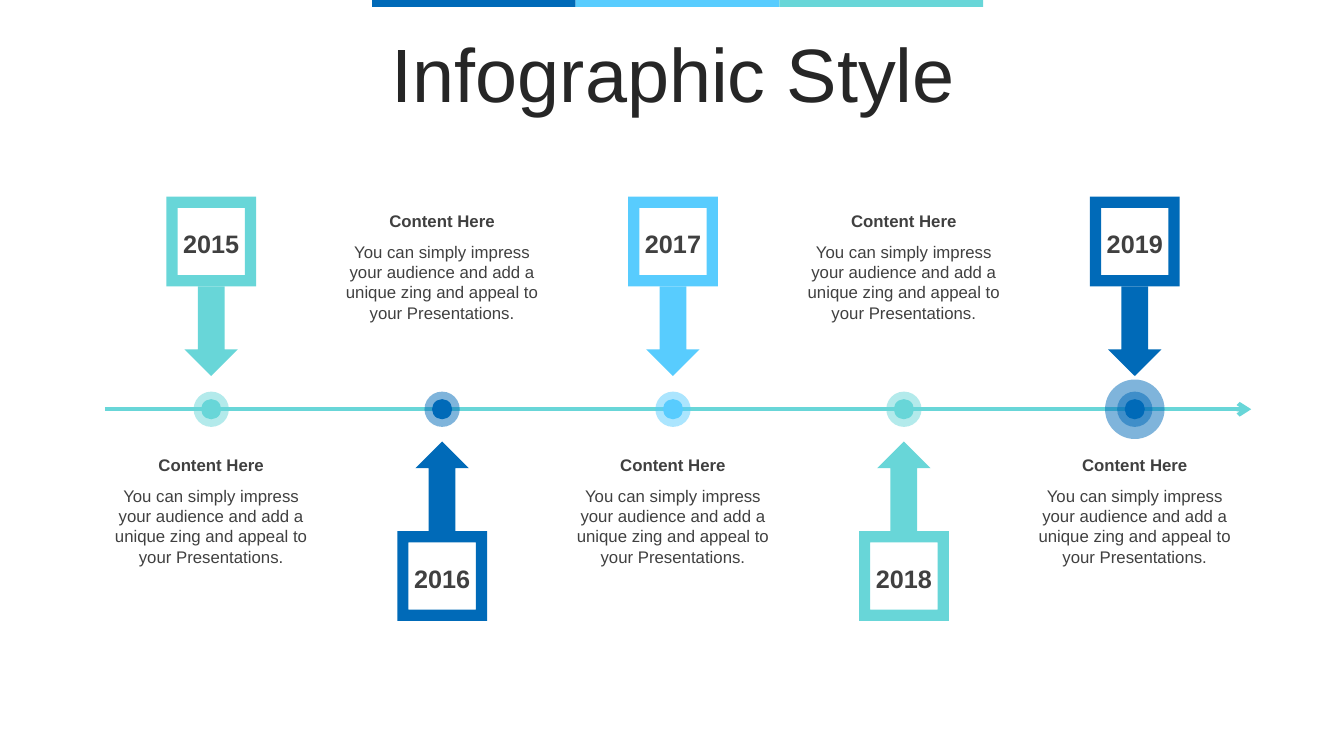
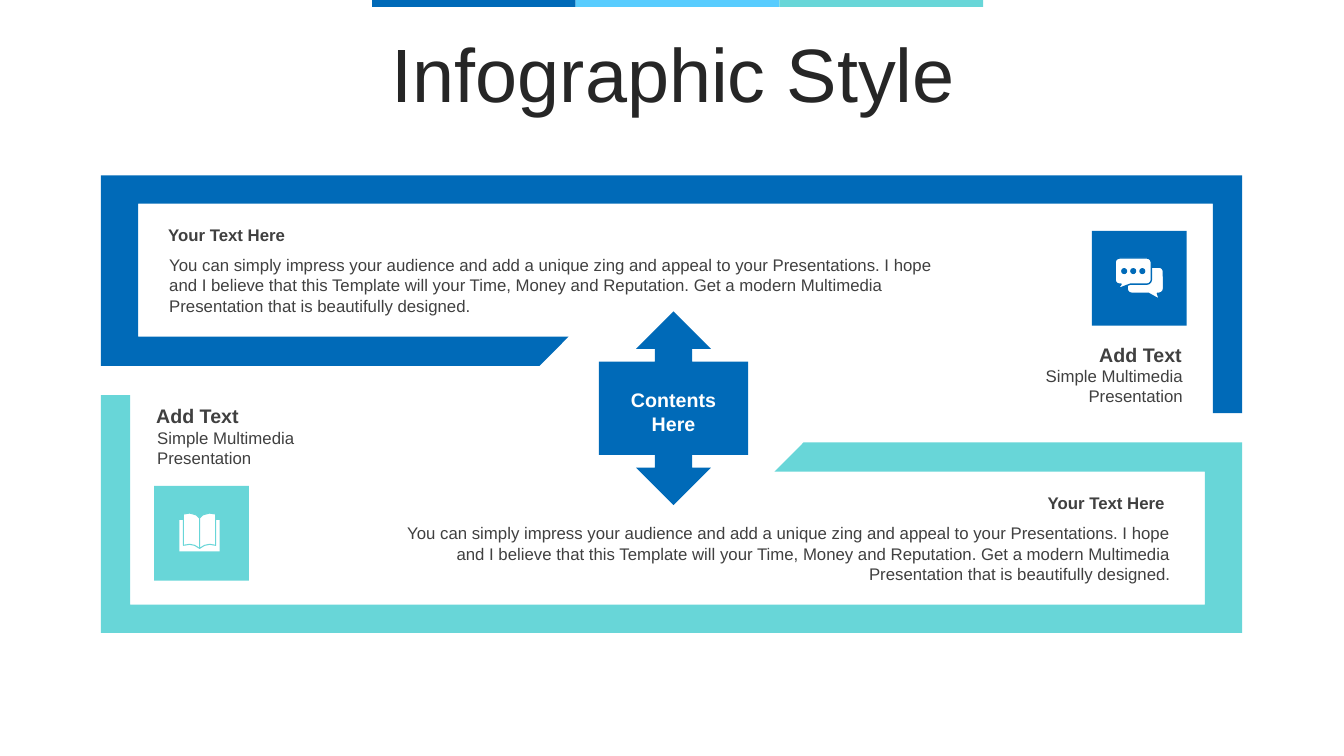
from dataclasses import dataclass

from lxml.etree import SubElement
from pptx import Presentation
from pptx.dml.color import RGBColor
from pptx.enum.shapes import MSO_CONNECTOR, MSO_SHAPE as SHAPE
from pptx.enum.text import MSO_ANCHOR as ANCHOR, MSO_AUTO_SIZE, PP_ALIGN as ALIGN
from pptx.oxml.ns import qn
from pptx.util import Inches, Pt


@dataclass(frozen=True)
class Theme:
    blue: str = "006AB8"
    sky: str = "58CCFE"
    teal: str = "68D6D8"
    white: str = "FFFFFF"
    title: str = "262626"
    text: str = "404040"
    font: str = "Arial"
    title_size: int = 54
    year_size: int = 18
    label_size: int = 14
    body_size: int = 12


T = Theme()
WIDTH, HEIGHT = 13.33, 7.5
TITLE = "Infographic Style"
BANDS = (T.blue, T.sky, T.teal)

HEADING = "Content Here"
BLURB = ("You can simply impress your audience and add a unique zing "
         "and appeal to your Presentations.")
YEARS = [("2015", T.teal), ("2016", T.blue), ("2017", T.sky),
         ("2018", T.teal), ("2019", T.blue)]
AXIS, STEP, FRAME, ARROW_W = 4.06, 2.29, 0.89, 0.53
ABOVE = {"frame": 1.95, "arrow": 2.84, "shape": SHAPE.DOWN_ARROW, "caption": 4.46}
BELOW = {"frame": 5.27, "arrow": 4.38, "shape": SHAPE.UP_ARROW, "caption": 2.04}

STORY = BLURB + (" I hope and I believe that this Template will your Time, Money and "
                 "Reputation. Get a modern Multimedia Presentation that is beautifully designed.")
STORIES = [(1.57, 2.18, ALIGN.LEFT), (3.75, 4.84, ALIGN.RIGHT)]
LABELS = [(9.94, 3.35, ALIGN.RIGHT), (1.45, 3.96, ALIGN.LEFT)]
BRACKET = [(12.32, 4.1), (12.03, 4.1), (12.03, 2.02), (1.37, 2.02), (1.37, 3.34),
           (5.64, 3.34), (5.35, 3.63), (1, 3.63), (1, 1.74), (12.32, 1.74)]
PAGE = [(0, 5.14), (0.03, 5.11), (0.06, 5.1), (0.1, 5.09), (0.16, 5.1),
        (0.16, 5.41), (0.1, 5.4), (0.05, 5.41), (0, 5.44)]
SPINE = 1.98


def rgb(colour):
    return RGBColor.from_string(colour)


def paint(sp, fill, line=None, alpha=None):
    sp.shadow.inherit = False
    sp.fill.solid()
    sp.fill.fore_color.rgb = rgb(fill)
    if alpha:
        clr = sp.fill._xPr.find(qn("a:solidFill"))[0]
        SubElement(clr, qn("a:alpha")).set("val", str(alpha * 1000))
    if line:
        sp.line.color.rgb, sp.line.width = rgb(line[0]), Pt(line[1])
    else:
        sp.line.fill.background()
    return sp


def shape(s, kind, x, y, w, h, fill, **style):
    sp = s.shapes.add_shape(kind, *map(Inches, (x, y, w, h)))
    return paint(sp, fill, **style)


def outline(s, points, fill, **style):
    start, *rest = [(Inches(x), Inches(y)) for x, y in points]
    fb = s.shapes.build_freeform(*start)
    fb.add_line_segments(rest, close=True)
    return paint(fb.convert_to_shape(), fill, **style)


def write(sp, text, size, colour=T.text, bold=False, align=ALIGN.CENTER):
    tf = sp.text_frame
    tf.text, tf.word_wrap = text, True
    for p in tf.paragraphs:
        p.alignment = align
        for r in p.runs:
            r.font.name, r.font.size, r.font.bold = T.font, Pt(size), bold
            r.font.color.rgb = rgb(colour)
    return tf


def textbox(s, x, y, w, h, text, size, **style):
    sp = s.shapes.add_textbox(*map(Inches, (x, y, w, h)))
    return write(sp, text, size, **style)


def centred(tf, left, top, right, bottom):
    tf.vertical_anchor = ANCHOR.MIDDLE
    tf.margin_left, tf.margin_top = Inches(left), Inches(top)
    tf.margin_right, tf.margin_bottom = Inches(right), Inches(bottom)


def new_slide(prs):
    s = prs.slides.add_slide(prs.slide_layouts[5])
    sp = s.shapes.title
    sp.left, sp.top, sp.width, sp.height = map(Inches, (0.35, 0.38, 12.66, 0.79))
    tf = write(sp, TITLE, T.title_size, T.title)
    tf.auto_size, tf.vertical_anchor = MSO_AUTO_SIZE.NONE, ANCHOR.MIDDLE
    tf.paragraphs[0].line_spacing = 0.9
    for i, colour in enumerate(BANDS):
        shape(s, SHAPE.RECTANGLE, 3.69 + 2.02 * i, 0, 2.02, 0.07, colour)
    return s


def dot(s, x, d, colour, alpha=None):
    shape(s, SHAPE.OVAL, x - d / 2, AXIS - d / 2, d, d, colour, alpha=alpha)


def timeline(s):
    cx = s.shapes.add_connector(MSO_CONNECTOR.STRAIGHT,
                                *map(Inches, (1.04, AXIS, 12.41, AXIS)))
    cx.line.color.rgb, cx.line.width = rgb(T.teal), Pt(3)
    SubElement(cx.line._get_or_add_ln(), qn("a:tailEnd")).set("type", "arrow")
    SubElement(cx._element.spPr, qn("a:effectLst"))

    for i, (year, colour) in enumerate(YEARS):
        x = WIDTH / 2 + STEP * (i - 2) + 0.01
        row = BELOW if i % 2 else ABOVE
        sp = shape(s, SHAPE.FRAME, x - FRAME / 2, row["frame"], FRAME, FRAME, colour)
        centred(write(sp, year, T.year_size, bold=True), 0, 0.04, 0, 0)
        shape(s, row["shape"], x - ARROW_W / 2, row["arrow"], ARROW_W, FRAME, colour)
        y = row["caption"]
        textbox(s, x - 1.12, y, 2.24, 0.3, HEADING, T.body_size, bold=True)
        textbox(s, x - 1.12, y + 0.31, 2.24, 0.91, BLURB, T.body_size)
        if i == len(YEARS) - 1:
            dot(s, x, 0.59, colour, 50)
        dot(s, x, 0.35, colour, 50)
        dot(s, x, 0.2, colour)


def book_icon(s):
    shape(s, SHAPE.RECTANGLE, 1.53, 4.82, 0.94, 0.94, T.teal)
    shape(s, SHAPE.RECTANGLE, SPINE - 0.2, 5.16, 0.4, 0.31, T.white)
    for side in (-1, 1):
        outline(s, [(SPINE + side * x, y) for x, y in PAGE], T.white, line=(T.teal, 0.75))


def chat_icon(s):
    shape(s, SHAPE.RECTANGLE, 10.83, 2.29, 0.94, 0.94, T.blue)
    for x, y, tip in [(11.18, 2.65, (0.39, 0.74)), (11.06, 2.56, (-0.44, 0.69))]:
        sp = shape(s, SHAPE.ROUNDED_RECTANGULAR_CALLOUT, x, y, 0.36, 0.26, T.white,
                   line=(T.blue, 1))
        sp.adjustments[0], sp.adjustments[1] = tip
    for i in range(3):
        shape(s, SHAPE.OVAL, 11.12 + 0.09 * i, 2.66, 0.06, 0.06, T.blue)


def brackets(s):
    outline(s, BRACKET, T.blue)
    outline(s, [(13.32 - x, 8.02 - y) for x, y in BRACKET], T.teal)
    for x, y, align in STORIES:
        textbox(s, x, y, 7.9, 0.3, "Your Text Here", T.body_size, bold=True, align=align)
        textbox(s, x + 0.01, y + 0.3, 7.95, 0.71, STORY, T.body_size, align=align)
    for x, y, align in LABELS:
        textbox(s, x, y, 1.88, 0.34, "Add Text", T.label_size, bold=True, align=align)
        textbox(s, x + 0.01, y + 0.23, 1.88, 0.5, "Simple Multimedia Presentation",
                T.body_size, align=align)
    sp = shape(s, SHAPE.UP_DOWN_ARROW_CALLOUT, 5.94, 3.09, 1.48, 1.92, T.blue)
    tf = write(sp, "Contents\nHere", T.label_size, T.white, bold=True)
    centred(tf, 0.12, 0.12, 0.12, 0.05)
    book_icon(s)
    chat_icon(s)


def main():
    prs = Presentation()
    prs.slide_width, prs.slide_height = Inches(WIDTH), Inches(HEIGHT)
    for build in (timeline, brackets):
        build(new_slide(prs))
    prs.save("out.pptx")


if __name__ == "__main__":
    main()
